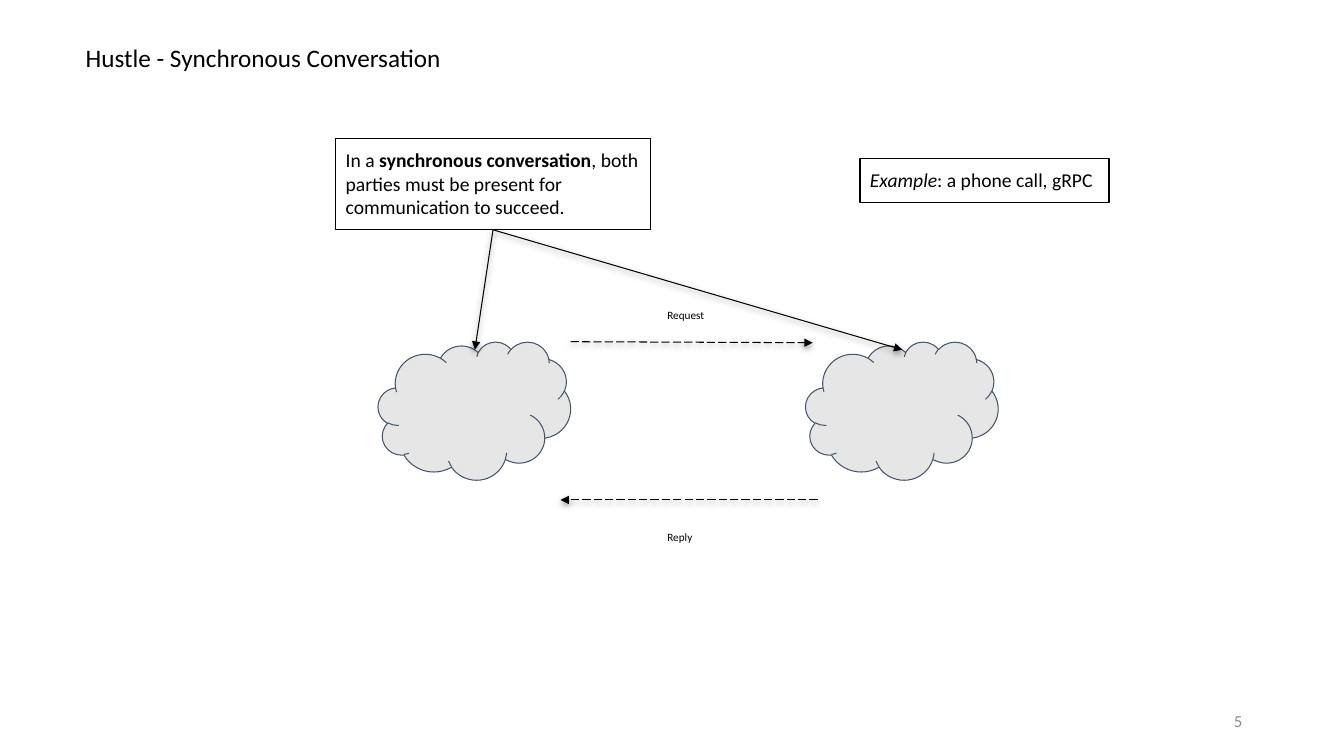
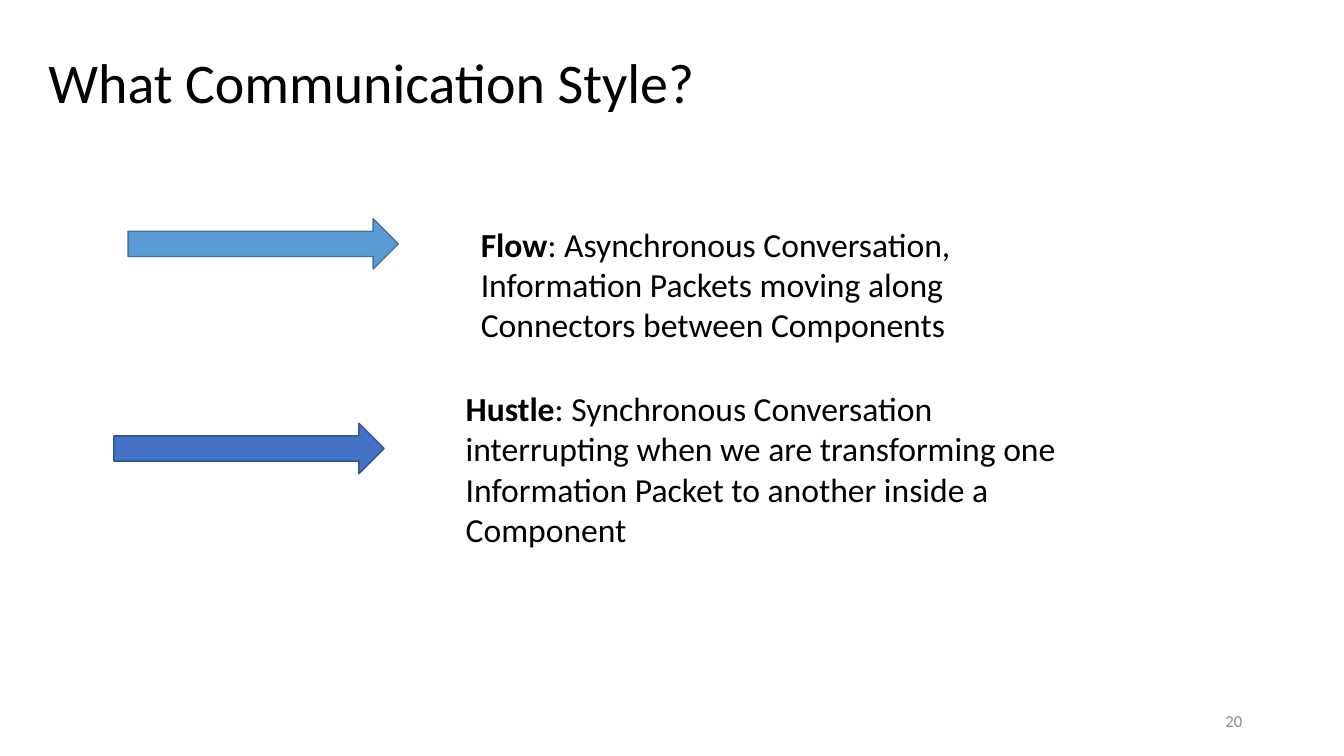
"""Build two slides on synchronous and asynchronous communication styles."""
from lxml import etree
from pptx import Presentation
from pptx.dml.color import RGBColor
from pptx.enum import dml, shapes, text
from pptx.oxml import ns
from pptx.util import Inches, Pt

BLACK, GREY, CLOUD, CLOUD_LINE = "000000", "8C8C8C", "E7E6E6", "44546A"
SHADOW = (
    f'<a:effectLst {ns.nsdecls("a")}>'
    '<a:outerShdw blurRad="57150" dist="19050" dir="5400000" algn="bl" rotWithShape="0">'
    f'<a:srgbClr val="{BLACK}"><a:alpha val="50000"/></a:srgbClr>'
    '</a:outerShdw></a:effectLst>'
)


def paint(fmt, color, width=None):
    """Give a fill or a line a solid colour."""
    if width:
        fmt.width = Pt(width)
        fmt = fmt.fill
    fmt.solid()
    fmt.fore_color.rgb = RGBColor.from_string(color)


def write(sp, content, size=14, color=BLACK, emphasis="bold", inset=0.05,
          anchor=text.MSO_ANCHOR.TOP, align=text.PP_ALIGN.LEFT, spacing=1.0):
    """Write one paragraph; pieces between bars get the emphasis."""
    tf = sp.text_frame
    tf.word_wrap = True
    tf.auto_size = text.MSO_AUTO_SIZE.NONE
    tf.vertical_anchor = anchor
    tf.margin_left = tf.margin_right = Inches(0.1)
    tf.margin_top = tf.margin_bottom = Inches(inset)
    p = tf.paragraphs[0]
    p.alignment = align
    p.line_spacing = spacing
    for i, piece in enumerate(content.split("|")):
        if piece:
            r = p.add_run()
            r.text = piece
            r.font.name = "Calibri"
            r.font.size = Pt(size)
            paint(r.font.fill, color)
            if i % 2:
                setattr(r.font, emphasis, True)


prs = Presentation()
prs.slide_width, prs.slide_height = Inches(13.33), Inches(7.5)

TITLES = [
    ("Hustle - Synchronous Conversation", "5", (0.75, 0.32, 8.65, 0.5),
     dict(size=18, inset=0.1)),
    ("What Communication Style?", "20", (0.38, 0.39, 12.26, 0.91),
     dict(size=40, anchor=text.MSO_ANCHOR.MIDDLE, spacing=0.9)),
]
for title, number, box, style in TITLES:
    s = prs.slides.add_slide(prs.slide_layouts[5])
    sp = s.shapes.title
    sp.left, sp.top, sp.width, sp.height = map(Inches, box)
    write(sp, title, **style)
    sp = s.shapes.add_textbox(Inches(9.42), Inches(6.95), Inches(3), Inches(0.4))
    write(sp, number, size=12, color=GREY, anchor=text.MSO_ANCHOR.MIDDLE,
          align=text.PP_ALIGN.RIGHT)

conversation, styles = prs.slides

for left in (3.75, 7.99):
    sp = conversation.shapes.add_shape(
        shapes.MSO_SHAPE.CLOUD, Inches(left), Inches(3.39), Inches(1.91), Inches(1.37))
    sp.shadow.inherit = False
    paint(sp.fill, CLOUD)
    paint(sp.line, CLOUD_LINE, 0.75)

NOTES = [
    ((3.33, 1.37, 3.12, 0.91), "bold",
     "In a |synchronous conversation|, both parties must be present for communication to succeed."),
    ((8.53, 1.57, 2.47, 0.44), "italic", "|Example|: a phone call, gRPC"),
]
for box, emphasis, note in NOTES:
    sp = conversation.shapes.add_shape(shapes.MSO_SHAPE.RECTANGLE, *map(Inches, box))
    sp.shadow.inherit = False
    sp.fill.background()
    paint(sp.line, BLACK, 0.75)
    write(sp, note, emphasis=emphasis, inset=0.1)

for label, top in (("Request", 2.96), ("Reply", 5.16)):
    sp = conversation.shapes.add_textbox(Inches(6.52), Inches(top), Inches(0.62), Inches(0.34))
    write(sp, label, size=8, inset=0.1)

ARROWS = [
    ((5.66, 3.39, 8.06, 3.4), True),
    ((8.11, 4.96, 5.56, 4.96), True),
    ((4.89, 2.28, 4.71, 3.47), False),
    ((4.89, 2.28, 8.95, 3.47), False),
]
for ends, dashed in ARROWS:
    arrow = conversation.shapes.add_connector(
        shapes.MSO_CONNECTOR.STRAIGHT, *map(Inches, ends))
    paint(arrow.line, BLACK, 0.75)
    if dashed:
        arrow.line.dash_style = dml.MSO_LINE.LONG_DASH
    etree.SubElement(arrow.line._get_or_add_ln(), ns.qn("a:tailEnd"), type="triangle")
    arrow._element.spPr.append(etree.fromstring(SHADOW))

STYLES = [
    ((1.27, 2.17), "5B9BD5", "43739E", (4.67, 2.17, 6.11, 1.31),
     "|Flow|: Asynchronous Conversation, Information Packets moving along "
     "Connectors between Components"),
    ((1.13, 4.2), "4472C4", "325491", (4.52, 3.8, 6.11, 1.72),
     "|Hustle|: Synchronous Conversation interrupting when we are transforming one "
     "Information Packet to another inside a Component"),
]
for corner, fill, line, box, description in STYLES:
    sp = styles.shapes.add_shape(
        shapes.MSO_SHAPE.RIGHT_ARROW, *map(Inches, corner), Inches(2.68), Inches(0.5))
    sp.shadow.inherit = False
    paint(sp.fill, fill)
    paint(sp.line, line, 1)
    write(styles.shapes.add_textbox(*map(Inches, box)), description, size=24)

prs.save("out.pptx")
